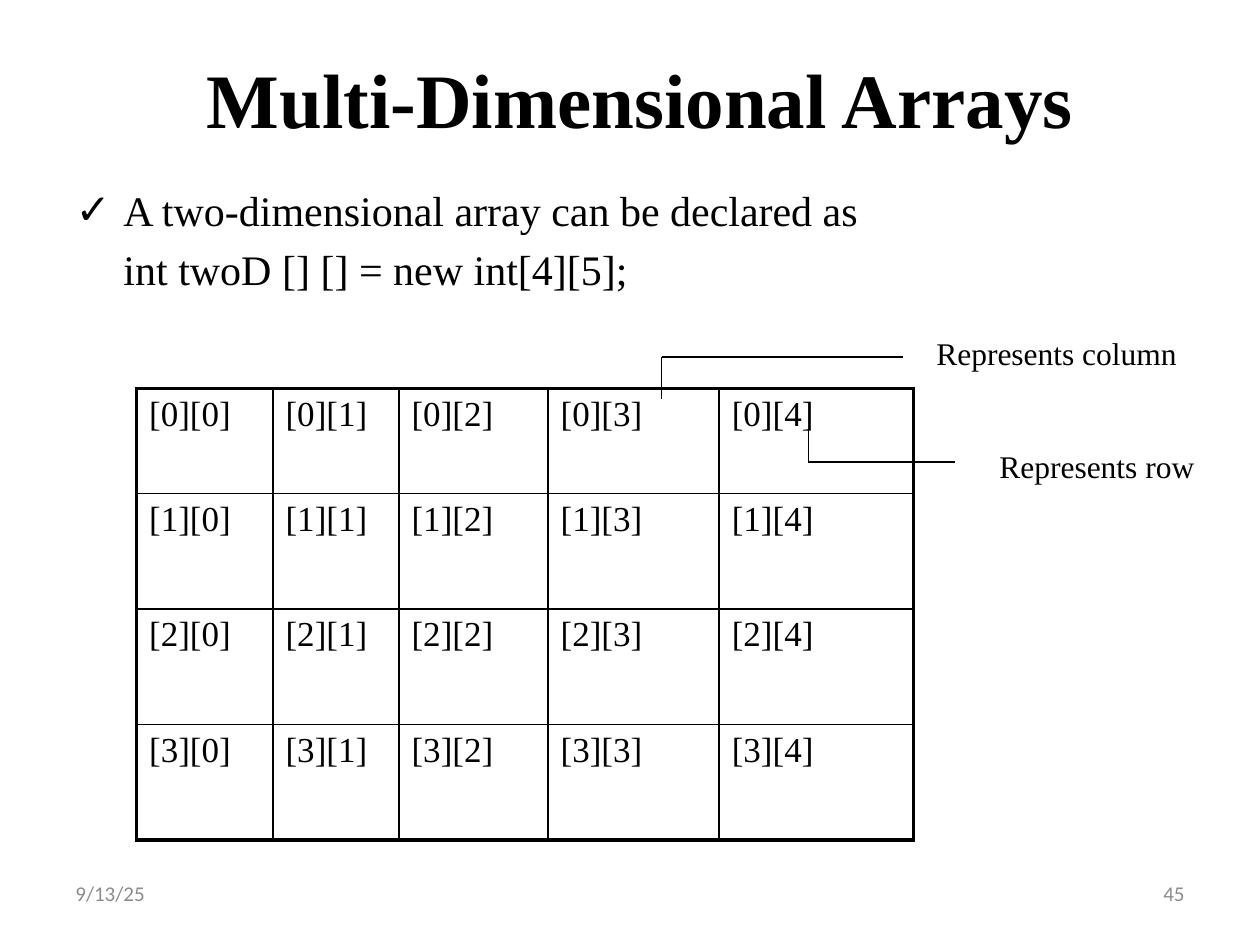
from dataclasses import dataclass
from itertools import pairwise

from lxml import etree
from pptx import Presentation, util as u
from pptx.dml.color import RGBColor
from pptx.enum import shapes, text
from pptx.oxml import ns

COLUMNS, ROWS = 120, 90


@dataclass(frozen=True)
class Theme:
    ink: str = "000000"
    muted: str = "8C8C8C"
    serif: str = "Times New Roman"
    sans: str = "Calibri"
    title: int = 44
    body: int = 24
    cell: int = 20
    label: int = 18
    footer: int = 12
    outer_border: float = 2.25
    inner_border: float = 1
    callout: float = 0.75


def add_xml(parent, tag, **attributes):
    return etree.SubElement(parent, ns.qn(tag), attributes)


class SlideBuilder:
    """Places elements on a grid of 120 columns by 90 rows."""

    def __init__(self, presentation, theme):
        self.theme = theme
        self.column = presentation.slide_width / COLUMNS
        self.row = presentation.slide_height / ROWS
        self.slide = presentation.slides.add_slide(presentation.slide_layouts[1])

    def box(self, left, top, width, height):
        return (round(left * self.column), round(top * self.row),
                round(width * self.column), round(height * self.row))

    def move(self, shape, box):
        for name, value in zip(("left", "top", "width", "height"), self.box(*box)):
            setattr(shape, name, value)

    def format_text(self, paragraph, size, **changes):
        """Sets the font; changes override the theme's serif text."""
        color = changes.pop("color", self.theme.ink)
        values = {"name": self.theme.serif, "size": u.Pt(size), "bold": False} | changes
        for name, value in values.items():
            setattr(paragraph.font, name, value)
        paragraph.font.color.rgb = RGBColor.from_string(color)

    def title(self, wording, box):
        shape = self.slide.shapes.title
        self.move(shape, box)
        shape.text_frame.text = wording
        self.format_text(shape.text_frame.paragraphs[0], self.theme.title, bold=True)

    def body(self, lines, box):
        """Fills the list from pairs of wording and bullet; no bullet continues the item."""
        shape = self.slide.placeholders[1]
        self.move(shape, box)
        shape.text_frame.text = "\n".join(wording for wording, _ in lines)
        indent = u.Inches(0.38)
        for paragraph, (_, bullet) in zip(shape.text_frame.paragraphs, lines):
            self.format_text(paragraph, self.theme.body)
            properties = paragraph._p.get_or_add_pPr()
            properties.set("marL", str(indent))
            properties.set("indent", str(-indent if bullet else 0))
            bullet_xml = etree.Element(ns.qn("a:buChar" if bullet else "a:buNone"))
            if bullet:
                bullet_xml.set("char", bullet)
            properties.insert(0, bullet_xml)

    def label(self, wording, box, size, anchor=text.MSO_ANCHOR.TOP,
              alignment=text.PP_ALIGN.LEFT, **font):
        frame = self.slide.shapes.add_textbox(*self.box(*box)).text_frame
        for name, value in {"word_wrap": True, "vertical_anchor": anchor}.items():
            setattr(frame, name, value)
        paragraph = frame.paragraphs[0]
        paragraph.text, paragraph.alignment = wording, alignment
        self.format_text(paragraph, size, **font)

    def border(self, cell, side, width):
        properties = cell._tc.get_or_add_tcPr()
        line = add_xml(properties, f"a:ln{side}", w=str(u.Pt(width)))
        add_xml(add_xml(line, "a:solidFill"), "a:srgbClr", val=self.theme.ink)

    def index_table(self, left, top, widths, heights):
        """Draws an array whose cells show their own indices."""
        last_row, last_column = len(heights) - 1, len(widths) - 1
        table = self.slide.shapes.add_table(
            len(heights), len(widths),
            *self.box(left, top, sum(widths), sum(heights))).table
        table.first_row = table.horz_banding = False
        for column, width in zip(table.columns, widths):
            column.width = round(width * self.column)
        for i, height in enumerate(heights):
            table.rows[i].height = round(height * self.row)
            for j in range(len(widths)):
                cell = table.cell(i, j)
                cell.text = f"[{i}][{j}]"
                self.format_text(cell.text_frame.paragraphs[0], self.theme.cell)
                edges = {"L": j == 0, "R": j == last_column,
                         "T": i == 0, "B": i == last_row}
                for side, outer in edges.items():
                    self.border(cell, side, self.theme.outer_border if outer
                                else self.theme.inner_border)
                cell.fill.background()

    def callout(self, points):
        """Joins grid points with straight lines."""
        for start, end in pairwise(points):
            line = self.slide.shapes.add_connector(
                shapes.MSO_CONNECTOR.STRAIGHT, *self.box(*start, *end))
            line.line.width = u.Pt(self.theme.callout)
            line.line.color.rgb = RGBColor.from_string(self.theme.ink)
            add_xml(line._element.spPr, "a:effectLst")


def main():
    presentation = Presentation()
    presentation.slide_width, presentation.slide_height = u.Inches(10), u.Inches(7.5)
    theme = Theme()
    builder = SlideBuilder(presentation, theme)

    builder.title("Multi-Dimensional Arrays", (6, 3.6, 110, 11.4))
    builder.body([("A two-dimensional array can be declared as", "✓"),
                  ("int twoD [] [] = new int[4][5];", None)], (6, 17, 98.5, 13))
    builder.index_table(13, 37, widths=(13, 12, 14.2, 16.3, 18.5),
                        heights=(10, 11, 11, 11))

    builder.callout([(77, 41), (77, 44), (91, 44)])
    builder.label("Represents row", (94, 42, 27, 4.8), theme.label)
    builder.callout([(63, 38), (63, 34), (86, 34)])
    builder.label("Represents column", (88, 31.2, 29, 4.8), theme.label)

    footer = {"size": theme.footer, "anchor": text.MSO_ANCHOR.MIDDLE,
              "name": theme.sans, "color": theme.muted}
    builder.label("9/13/25", (6, 82, 28, 6.2), **footer)
    builder.label("45", (86, 82, 28, 6.2), alignment=text.PP_ALIGN.RIGHT, **footer)

    presentation.save("out.pptx")


if __name__ == "__main__":
    main()
